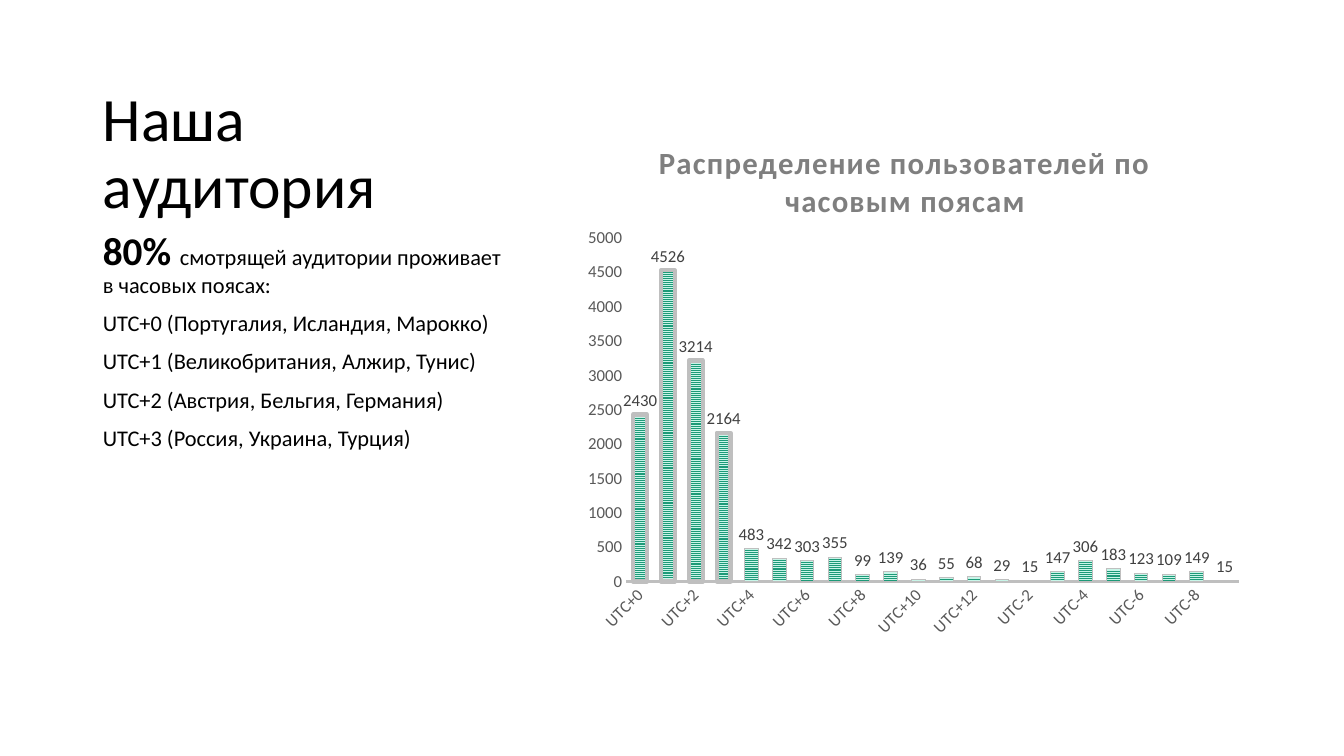
from dataclasses import dataclass

from lxml.etree import SubElement
from pptx import Presentation
from pptx.chart.data import CategoryChartData
from pptx.dml.color import RGBColor
from pptx.enum.chart import XL_CHART_TYPE as ChartType
from pptx.enum.chart import XL_LABEL_POSITION as LabelPosition
from pptx.enum.chart import XL_TICK_MARK as TickMark
from pptx.enum.dml import MSO_PATTERN as Pattern
from pptx.enum.text import MSO_ANCHOR as Anchor
from pptx.enum.text import MSO_AUTO_SIZE as AutoSize
from pptx.enum.text import PP_ALIGN as Align
from pptx.oxml.ns import qn
from pptx.util import Inches, Pt

TITLE = "Наша аудитория"
SHARE = "80% "
SHARE_TEXT = "смотрящей аудитории проживает в часовых поясах:"
ZONES = [
    "UTC+0 (Португалия, Исландия, Марокко)",
    "UTC+1 (Великобритания, Алжир, Тунис)",
    "UTC+2 (Австрия, Бельгия, Германия)",
    "UTC+3 (Россия, Украина, Турция)",
]
CHART_TITLE = "Распределение пользователей по часовым поясам"
EAST_USERS = [2430, 4526, 3214, 2164, 483, 342, 303, 355, 99, 139, 36, 55, 68]
WEST_USERS = [29, 15, 147, 306, 183, 123, 109, 149, 15]


@dataclass(frozen=True)
class Theme:
    font: str = "Calibri"
    text: str = "000000"
    heading: str = "7F7F7F"
    axis: str = "595959"
    label: str = "404040"
    line: str = "BFBFBF"
    bar: str = "1D9A78"
    bar_back: str = "C8F5E8"
    title_size: int = 44
    share_size: int = 28
    body_size: int = 16
    heading_size: int = 22
    chart_size: int = 12


THEME = Theme()


def color(value):
    return RGBColor.from_string(value)


def style(font, size, value, bold=False):
    font.name = THEME.font
    font.size = Pt(size)
    font.bold = bold
    font.color.rgb = color(value)


def write(paragraph, text, size=THEME.body_size, value=THEME.text, bold=False, spacing=None):
    run = paragraph.add_run()
    run.text = text
    style(run.font, size, value, bold)
    if spacing:
        run.font._element.set("spc", str(spacing))


def place(shape, left, top, width, height, anchor):
    shape.left, shape.top = Inches(left), Inches(top)
    shape.width, shape.height = Inches(width), Inches(height)
    frame = shape.text_frame
    frame.word_wrap = True
    frame.auto_size = AutoSize.NONE
    frame.vertical_anchor = anchor
    return frame


def body_paragraph(paragraph):
    paragraph.line_spacing = 0.9
    paragraph.space_before = Pt(10)
    properties = paragraph._p.get_or_add_pPr()
    properties.set("marL", "0")
    properties.set("indent", "0")
    SubElement(properties, qn("a:buNone"))
    return paragraph


def set_layout(element, **values):
    layout = element.find(qn("c:layout"))
    if layout is None:
        layout = SubElement(element, qn("c:layout"))
        element.insert(0, layout)
    manual = SubElement(layout, qn("c:manualLayout"))
    if "w" in values:
        SubElement(manual, qn("c:layoutTarget")).set("val", "inner")
    for axis in "xy":
        SubElement(manual, qn(f"c:{axis}Mode")).set("val", "edge")
    for name, value in values.items():
        SubElement(manual, qn(f"c:{name}")).set("val", str(value))


def format_bar(target, width):
    target.fill.patterned()
    target.fill.pattern = Pattern.NARROW_HORIZONTAL
    target.fill.fore_color.rgb = color(THEME.bar)
    target.fill.back_color.rgb = color(THEME.bar_back)
    target.line.color.rgb = color(THEME.line)
    target.line.width = Pt(width)


def add_users_chart(slide):
    data = CategoryChartData()
    data.categories = [f"UTC+{hour}" for hour in range(len(EAST_USERS))] + [
        f"UTC-{hour}" for hour in range(1, len(WEST_USERS) + 1)
    ]
    data.add_series("Series 1", EAST_USERS + WEST_USERS)
    chart = slide.shapes.add_chart(
        ChartType.COLUMN_CLUSTERED,
        Inches(5.67), Inches(1.08), Inches(6.75), Inches(5.33), data,
    ).chart
    style(chart.font, THEME.chart_size, THEME.text)
    chart.has_legend = False
    chart.has_title = True
    heading = chart.chart_title.text_frame.paragraphs[0]
    write(heading, CHART_TITLE, size=THEME.heading_size, value=THEME.heading, bold=True, spacing=100)
    set_layout(chart.chart_title._element, x=0.12, y=0.05)
    set_layout(chart._chartSpace.chart.plotArea, x=0.08, y=0.24, w=0.9, h=0.64)

    for axis in (chart.category_axis, chart.value_axis):
        axis.has_major_gridlines = False
        axis.major_tick_mark = axis.minor_tick_mark = TickMark.NONE
        style(axis.tick_labels.font, THEME.chart_size, THEME.axis)
    category_line = chart.category_axis.format.line
    category_line.color.rgb = color(THEME.line)
    category_line.width = Pt(1.5)
    chart.category_axis._element.find(qn("c:txPr")).find(qn("a:bodyPr")).set("rot", "-2700000")
    value_axis = chart.value_axis
    value_axis.format.line.fill.background()
    value_axis.minimum_scale, value_axis.maximum_scale = 0, 5000
    value_axis.major_unit = 500

    plot = chart.plots[0]
    plot.gap_width, plot.overlap = 103, 1
    plot.vary_by_categories = False
    series = plot.series[0]
    format_bar(series.format, 0)
    for index in range(len(ZONES)):
        format_bar(series.points[index].format, 3)
    labels = series.data_labels
    labels.show_value = True
    labels.position = LabelPosition.OUTSIDE_END
    style(labels.font, THEME.chart_size, THEME.label)


def main():
    presentation = Presentation()
    presentation.slide_width, presentation.slide_height = Inches(13.33), Inches(7.5)
    slide = presentation.slides.add_slide(presentation.slide_layouts[1])

    title = place(slide.shapes.title, 0.92, 0.5, 4.3, 1.75, Anchor.BOTTOM).paragraphs[0]
    title.alignment = Align.LEFT
    title.line_spacing = 0.9
    write(title, TITLE, size=THEME.title_size)

    add_users_chart(slide)

    body = place(slide.placeholders[1], 0.92, 2.25, 4.3, 4.17, Anchor.TOP)
    share = body_paragraph(body.paragraphs[0])
    write(share, SHARE, size=THEME.share_size, bold=True)
    write(share, SHARE_TEXT)
    for zone in ZONES:
        write(body_paragraph(body.add_paragraph()), zone)

    presentation.save("out.pptx")


if __name__ == "__main__":
    main()
